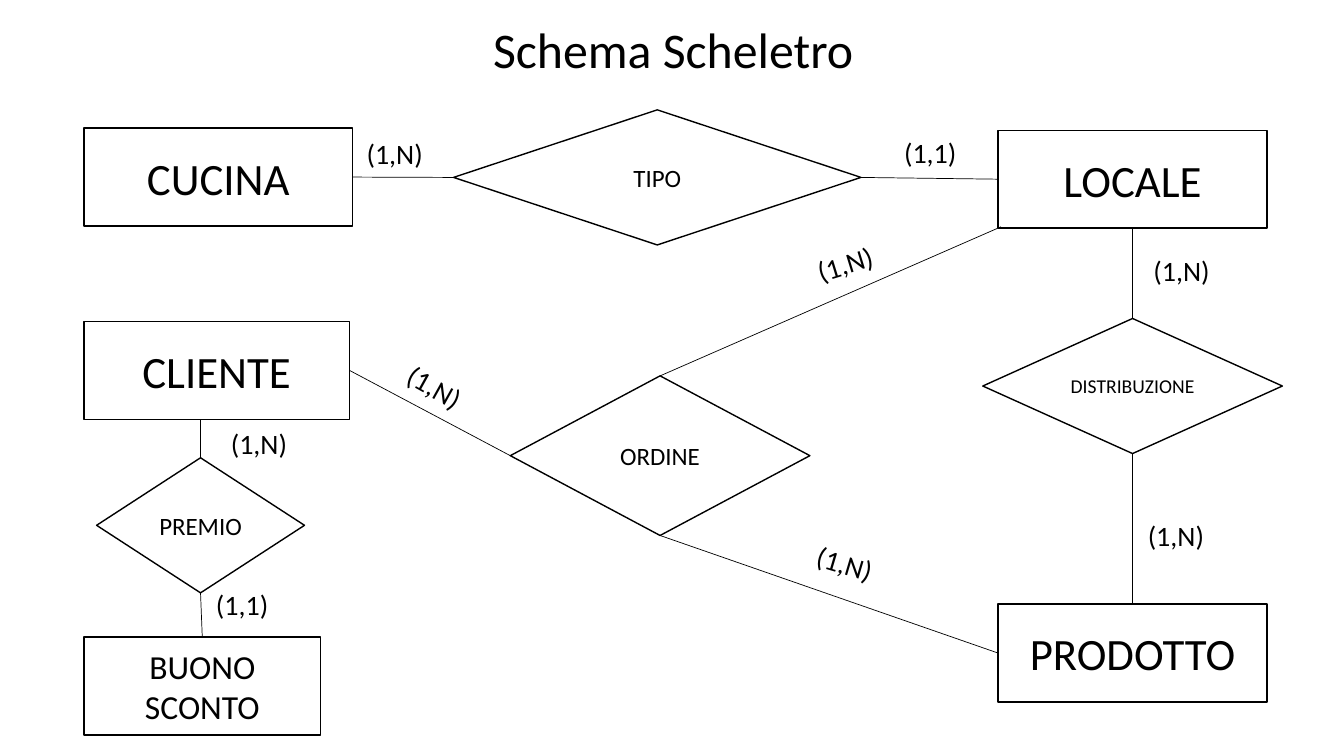
from lxml import etree
from pptx import Presentation
from pptx.dml.color import RGBColor
from pptx.enum.shapes import MSO_CONNECTOR as Connector, MSO_SHAPE as Shape
from pptx.enum.text import MSO_ANCHOR as Anchor, MSO_AUTO_SIZE as AutoSize, PP_ALIGN as Align
from pptx.oxml.ns import qn
from pptx.util import Pt

COLORS = {"ink": "000000", "paper": "FFFFFF"}
FONT = "Calibri"
TOP, LEFT, BOTTOM, RIGHT = range(4)  # connection sites of boxes and diamonds
BOX_HEIGHT = 70
LABEL_WIDTH, LABEL_HEIGHT = 66, 37.5

# name: left, top, width, font size
ENTITIES = {
    "CUCINA": (60, 91.5, 192, 32),
    "LOCALE": (713, 93, 192, 32),
    "PRODOTTO": (713, 431.5, 192, 32),
    "CLIENTE": (60, 229.5, 189.5, 32),
    "BUONO SCONTO": (60, 455, 169, 24),
}
# name: left, top, width, height, font size
RELATIONS = {
    "TIPO": (324, 78.5, 291, 96.5, 17.8),
    "DISTRIBUZIONE": (702, 227.5, 214, 96.5, 14),
    "ORDINE": (364.5, 268.5, 214, 114, 17.8),
    "PREMIO": (69, 327, 148.5, 96.5, 17.8),
}
# relation, its site, then an entity with its site or a free point
LINKS = [
    ("TIPO", LEFT, "CUCINA", RIGHT),
    ("TIPO", RIGHT, "LOCALE", LEFT),
    ("DISTRIBUZIONE", TOP, "LOCALE", BOTTOM),
    ("DISTRIBUZIONE", BOTTOM, "PRODOTTO", TOP),
    ("ORDINE", LEFT, "CLIENTE", RIGHT),
    ("ORDINE", BOTTOM, "PRODOTTO", LEFT),
    ("ORDINE", TOP, (715, 162), None),
    ("PREMIO", TOP, (143.25, 299.5), None),
    ("PREMIO", BOTTOM, "BUONO SCONTO", TOP),
]
# text, centre x, centre y, rotation
CARDINALITIES = [
    ("(1,N)", 282, 109.5, 0),
    ("(1,1)", 664.5, 109, 0),
    ("(1,N)", 844, 193, 0),
    ("(1,N)", 840, 382.5, 0),
    ("(1,N)", 310.5, 276.5, 29.2),
    ("(1,N)", 603.5, 402.5, 16.6),
    ("(1,N)", 603.5, 188.5, 342.9),
    ("(1,N)", 185, 317, 0),
    ("(1,1)", 173, 432, 0),
]


def color(name):
    return RGBColor.from_string(COLORS[name])


def write(shape, text, size):
    paragraph = shape.text_frame.paragraphs[0]
    paragraph.text = text
    paragraph.alignment = Align.CENTER
    paragraph.font.name = FONT
    paragraph.font.size = Pt(size)
    paragraph.font.color.rgb = color("ink")


def set_frame(shape, wrap):
    frame = shape.text_frame
    frame.auto_size = AutoSize.NONE
    frame.word_wrap = wrap
    frame.vertical_anchor = Anchor.TOP
    frame.margin_left = frame.margin_right = Pt(13)
    frame.margin_top = frame.margin_bottom = Pt(6.5)


def set_title(slide, text):
    title = slide.shapes.title
    title.left, title.top, title.width, title.height = Pt(157), Pt(7), Pt(648), Pt(56)
    set_frame(title, True)
    write(title, text, 35.6)


def add_node(slide, kind, text, left, top, width, height, size):
    node = slide.shapes.add_shape(kind, Pt(left), Pt(top), Pt(width), Pt(height))
    node.shadow.inherit = False
    node.fill.solid()
    node.fill.fore_color.rgb = color("paper")
    node.line.color.rgb = color("ink")
    node.line.width = Pt(1)
    node.text_frame.word_wrap = True
    node.text_frame.vertical_anchor = Anchor.MIDDLE
    write(node, text, size)
    return node


def add_link(slide, nodes, relation, site, target, target_site):
    free = target_site is None
    x, y = target if free else (0, 0)
    link = slide.shapes.add_connector(Connector.STRAIGHT, 0, 0, Pt(x), Pt(y))
    link.begin_connect(nodes[relation], site)
    if not free:
        link.end_connect(nodes[target], target_site)
    link.line.color.rgb = color("ink")
    link.line.width = Pt(0.5)
    etree.SubElement(link._element.spPr, qn("a:effectLst"))


def add_cardinality(slide, text, x, y, rotation):
    label = slide.shapes.add_textbox(
        Pt(x - LABEL_WIDTH / 2), Pt(y - LABEL_HEIGHT / 2), Pt(LABEL_WIDTH), Pt(LABEL_HEIGHT))
    label.rotation = rotation
    set_frame(label, False)
    write(label, text, 20)


def main():
    presentation = Presentation()
    presentation.slide_width, presentation.slide_height = Pt(960), Pt(540)
    slide = presentation.slides.add_slide(presentation.slide_layouts[5])
    set_title(slide, "Schema Scheletro")

    # Entities and relations
    nodes = {}
    for name, (left, top, width, size) in ENTITIES.items():
        nodes[name] = add_node(slide, Shape.RECTANGLE, name, left, top, width, BOX_HEIGHT, size)
    for name, place in RELATIONS.items():
        nodes[name] = add_node(slide, Shape.FLOWCHART_DECISION, name, *place)

    # Links and their cardinalities
    for link in LINKS:
        add_link(slide, nodes, *link)
    for cardinality in CARDINALITIES:
        add_cardinality(slide, *cardinality)

    presentation.save("out.pptx")


if __name__ == "__main__":
    main()
